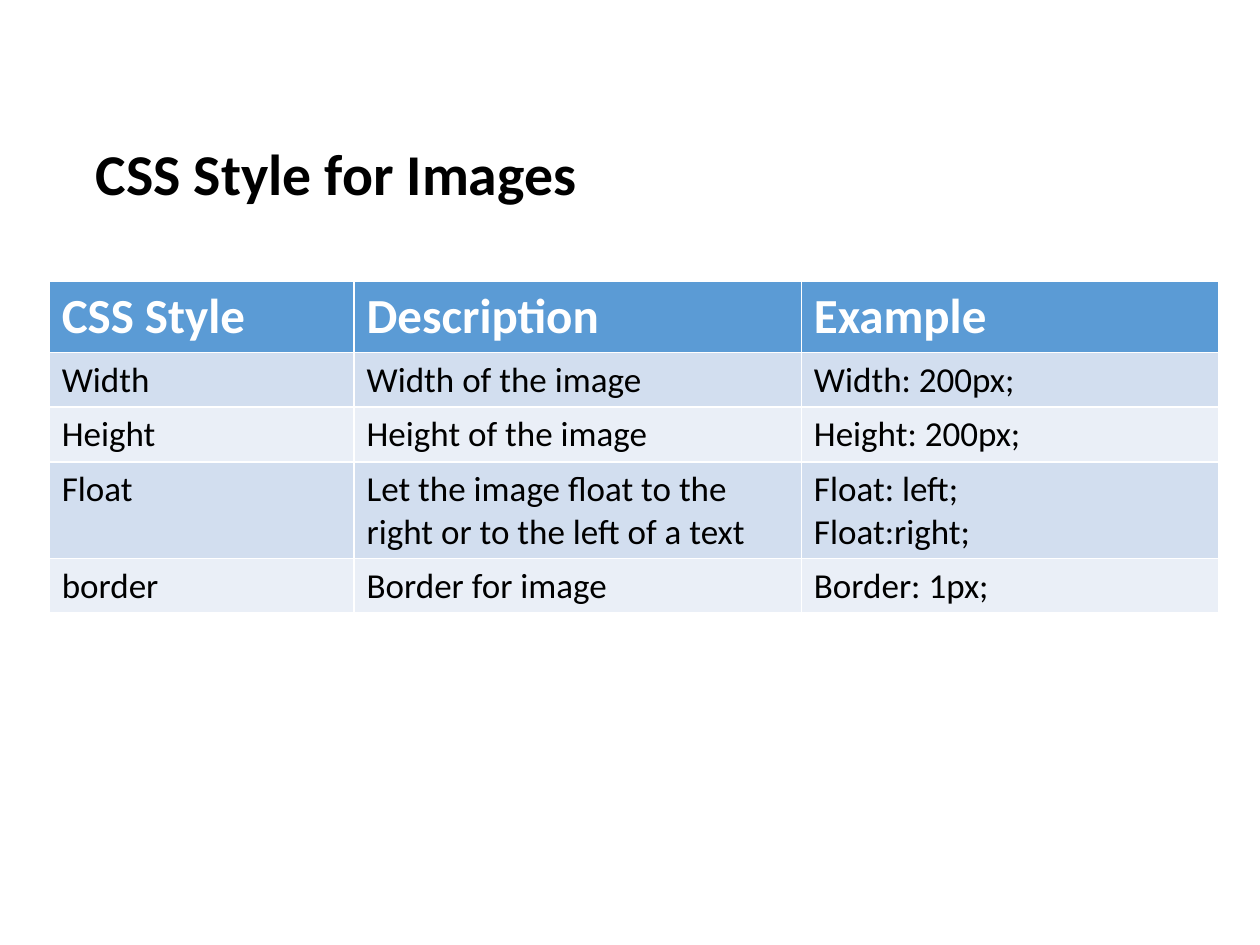
from pptx import Presentation
from pptx.dml.color import RGBColor
from pptx.enum.text import MSO_ANCHOR
from pptx.util import Inches, Pt

MIDDLE = MSO_ANCHOR.MIDDLE
BLACK = RGBColor(0x00, 0x00, 0x00)
WHITE = RGBColor(0xFF, 0xFF, 0xFF)
HEADER_BLUE = RGBColor(0x5B, 0x9B, 0xD5)
BANDS = [RGBColor(0xEA, 0xEF, 0xF7), RGBColor(0xD2, 0xDE, 0xEF)]
FONT = "Calibri"
COLUMN_WIDTHS = [2.42, 3.55, 3.31]
ROW_HEIGHT = 0.41
ROWS = [
    ["CSS Style", "Description", "Example"],
    ["Width", "Width of the image", "Width: 200px;"],
    ["Height", "Height of the image", "Height: 200px;"],
    ["Float", "Let the image float to the right or to the left of a text",
     "Float: left;\nFloat:right;"],
    ["border", "Border for image", "Border: 1px;"],
]


def add_span(para, text, size, color, bold):
    span = para.add_run()
    span.text = text
    span.font.name = FONT
    span.font.size = Pt(size)
    span.font.bold = bold
    span.font.color.rgb = color


deck = Presentation()
deck.slide_width = Inches(10)
deck.slide_height = Inches(7.5)
page = deck.slides.add_slide(deck.slide_layouts[6])

title_box = page.shapes.add_textbox(Inches(0.69), Inches(0.68), Inches(8.62), Inches(1.45))
title_frame = title_box.text_frame
title_frame.word_wrap = True
title_frame.vertical_anchor = MIDDLE
title_frame.margin_left = title_frame.margin_right = Inches(0.07)
title_frame.margin_top = title_frame.margin_bottom = Inches(0.04)
title_para = title_frame.paragraphs[0]
title_para.line_spacing = 0.9
add_span(title_para, "CSS Style for Images", 33, BLACK, True)

table = page.shapes.add_table(
    len(ROWS), len(COLUMN_WIDTHS), Inches(0.39), Inches(2.23),
    Inches(sum(COLUMN_WIDTHS)), Inches(ROW_HEIGHT * len(ROWS))).table
for column, width in zip(table.columns, COLUMN_WIDTHS):
    column.width = Inches(width)

for row_index, texts in enumerate(ROWS):
    is_header = row_index == 0
    fill_color = HEADER_BLUE if is_header else BANDS[row_index % 2]
    text_color = WHITE if is_header else BLACK
    size = 28 if is_header else 20
    for column_index, text in enumerate(texts):
        cell = table.cell(row_index, column_index)
        cell.fill.solid()
        cell.fill.fore_color.rgb = fill_color
        frame = cell.text_frame
        for line_index, line in enumerate(text.split("\n")):
            para = frame.add_paragraph() if line_index else frame.paragraphs[0]
            add_span(para, line, size, text_color, is_header)

deck.save("out.pptx")
